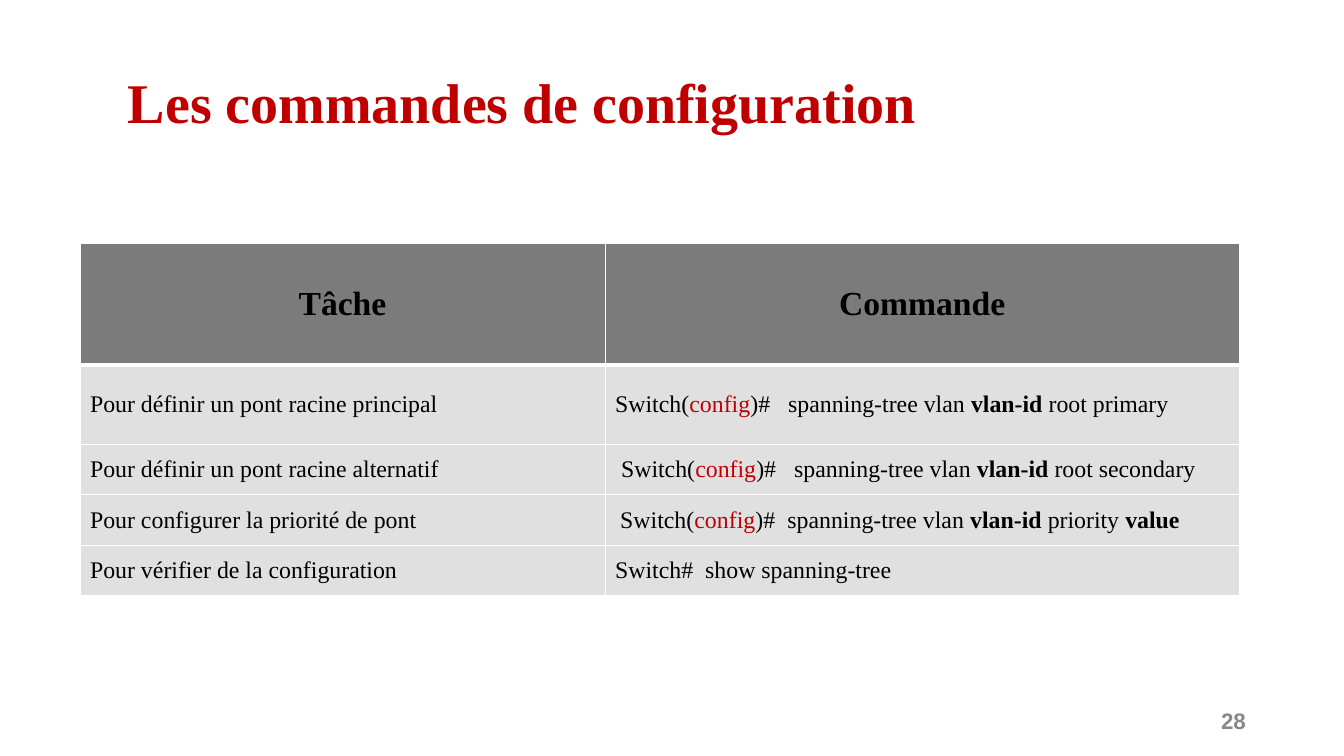
import dataclasses

import pptx
import pptx.dml.color
import pptx.enum.text
import pptx.oxml
import pptx.oxml.ns
import pptx.util

Pt = pptx.util.Pt
Align = pptx.enum.text.PP_ALIGN
Anchor = pptx.enum.text.MSO_ANCHOR


@dataclasses.dataclass
class Theme:
    serif: str = "Times New Roman"
    sans: str = "Arial"
    red: str = "C00000"
    black: str = "000000"
    grey: str = "888888"
    head: str = "7B7B7B"
    body: str = "E0E0E0"
    rule: str = "FFFFFF"
    title: int = 40
    header: int = 24
    text: int = 17
    number: int = 16


theme = Theme()


def write(para, runs, size, face=theme.serif, align=Align.LEFT):
    """Fill a paragraph with (text, colour, bold) runs."""
    para.alignment = align
    for text, color, bold in runs:
        run = para.add_run()
        run.text = text
        look = {"name": face, "size": Pt(size), "bold": bold}
        for key, value in look.items():
            setattr(run.font, key, value)
        run.font.color.rgb = pptx.dml.color.RGBColor.from_string(color)


def plain(text, bold=False):
    return (text, theme.black, bold)


deck = pptx.Presentation()
deck.slide_width, deck.slide_height = Pt(960), Pt(540)
slide = deck.slides.add_slide(deck.slide_layouts[6])

# Title and slide number
boxes = [
    ((87.84, 23.04, 828, 104.4), "Les commandes de configuration",
     theme.red, theme.title, theme.serif, Align.LEFT, 0.9),
    ((866.16, 491.76, 27.36, 46.08), "28",
     theme.grey, theme.number, theme.sans, Align.RIGHT, 1.0),
]
for place, text, color, size, face, align, space in boxes:
    frame = slide.shapes.add_textbox(*map(Pt, place)).text_frame
    form = {"word_wrap": True, "vertical_anchor": Anchor.MIDDLE}
    form |= {f"margin_{side}": Pt(3.6)
             for side in ("left", "top", "right", "bottom")}
    for key, value in form.items():
        setattr(frame, key, value)
    para = frame.paragraphs[0]
    para.line_spacing = space
    write(para, [(text, color, True)], size, face, align)

# Table content: task, indent, tab stop, command runs
prompt = [plain("Switch("), ("config", theme.red, False), plain(")#\t")]
vlan = [plain("spanning-tree vlan "), plain("vlan-id", True)]
tasks = [
    ("Pour définir un pont racine principal", 0, 123.6,
     prompt + vlan + [plain(" root primary")]),
    ("Pour définir un pont racine alternatif", 4.25, 123.6,
     prompt + vlan + [plain(" root secondary")]),
    ("Pour configurer la priorité de pont", 3.6, 119.4,
     prompt + vlan + [plain(" priority "), plain("value", True)]),
    ("Pour vérifier de la configuration", 0, 64.3,
     [plain("Switch#\t"), plain("show spanning-tree")]),
]

# Table grid
widths = [375.12, 452.88]
heights = [87.12, 56.88, 36, 36, 36]
table = slide.shapes.add_table(
    len(heights), len(widths), Pt(57.12), Pt(173.52),
    Pt(sum(widths)), Pt(sum(heights))).table
table.horz_banding = False
for col, width in zip(table.columns, widths):
    col.width = Pt(width)
for row, height in zip(table.rows, heights):
    row.height = Pt(height)

# Cell text
for cell, text in zip(table.rows[0].cells, ("Tâche", "Commande")):
    write(cell.text_frame.paragraphs[0], [plain(text, True)],
          theme.header, align=Align.CENTER)
for num, (task, indent, stop, runs) in enumerate(tasks, 1):
    left, right = table.rows[num].cells
    write(left.text_frame.paragraphs[0], [plain(task)], theme.text)
    right.margin_left = Pt(7.2 + indent)
    para = right.text_frame.paragraphs[0]
    write(para, runs, theme.text)
    para._p.get_or_add_pPr().append(pptx.oxml.parse_xml(
        f'<a:tabLst {pptx.oxml.ns.nsdecls("a")}>'
        f'<a:tab pos="{Pt(stop)}" algn="l"/></a:tabLst>'))

# Cell fills and borders, with a thick rule under the header
for num, row in enumerate(table.rows):
    for cell in row.cells:
        cell.vertical_anchor = Anchor.MIDDLE
        cell.fill.solid()
        cell.fill.fore_color.rgb = pptx.dml.color.RGBColor.from_string(
            theme.body if num else theme.head)
        edges = {"L": 1, "R": 1, "T": 3 if num == 1 else 1,
                 "B": 1 if num else 3}
        for spot, (side, width) in enumerate(edges.items()):
            cell._tc.get_or_add_tcPr().insert(spot, pptx.oxml.parse_xml(
                f'<a:ln{side} {pptx.oxml.ns.nsdecls("a")} w="{Pt(width)}">'
                f'<a:solidFill><a:srgbClr val="{theme.rule}"/></a:solidFill>'
                f'</a:ln{side}>'))

deck.save("out.pptx")
